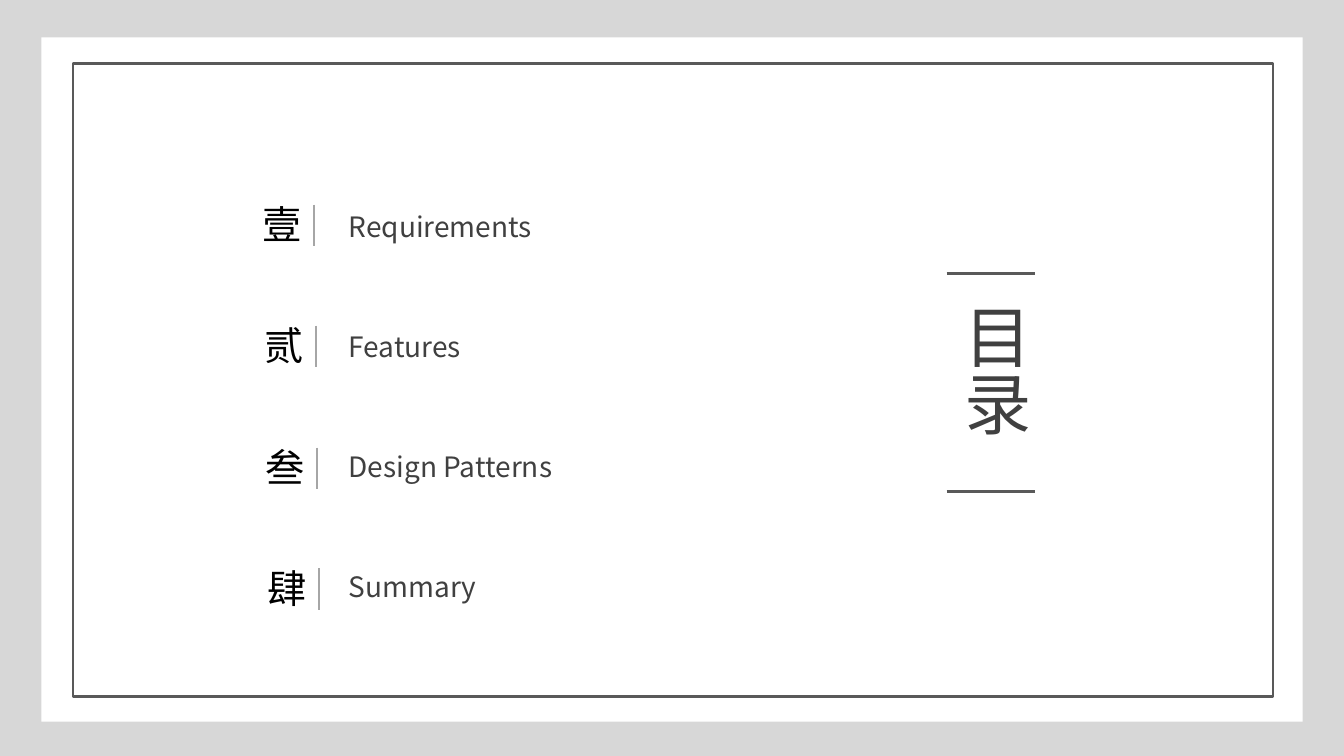
import pptx
import pptx.util
import pptx.dml.color
import pptx.enum.shapes
import pptx.enum.text
import pptx.oxml.ns
import pptx.oxml.xmlchemy
from pptx.dml.color import RGBColor
from pptx.util import Inches

FONT = "Noto Sans CJK SC"
GRAY = RGBColor(0xD7, 0xD7, 0xD7)
WHITE = RGBColor(0xFF, 0xFF, 0xFF)
BLACK = RGBColor(0x00, 0x00, 0x00)
FRAME = RGBColor(0x59, 0x59, 0x59)
DIVIDER = RGBColor(0xA6, 0xA6, 0xA6)
TEXT = RGBColor(0x40, 0x40, 0x40)

LABEL_TOP = 2.03
LABEL_STEP = 1.19
CHAPTERS = [
    ("壹", "Requirements", 2.51, 1.94),
    ("贰", "Features", 2.53, 3.14),
    ("叁", "Design Patterns", 2.54, 4.35),
    ("肆", "Summary", 2.56, 5.55),
]


def add_rectangle(slide, left, top, width, height, fill=None, line=None):
    shape = slide.shapes.add_shape(
        pptx.enum.shapes.MSO_SHAPE.RECTANGLE,
        Inches(left), Inches(top), Inches(width), Inches(height))
    shape.shadow.inherit = False
    if fill is None:
        shape.fill.background()
    else:
        shape.fill.solid()
        shape.fill.fore_color.rgb = fill
    if line is None:
        shape.line.fill.background()
    else:
        shape.line.color.rgb = line
        shape.line.width = pptx.util.Pt(1.5)


def add_line(slide, start, end, color, width):
    connector = slide.shapes.add_connector(
        pptx.enum.shapes.MSO_CONNECTOR.STRAIGHT,
        *[Inches(value) for value in (*start, *end)])
    connector.line.color.rgb = color
    connector.line.width = pptx.util.Pt(width)
    properties = connector._element.spPr
    properties.append(pptx.oxml.xmlchemy.OxmlElement("a:effectLst"))


def add_text(slide, text, left, top, width, height, size=20, color=TEXT,
             justified=True, vertical=False):
    box = slide.shapes.add_textbox(
        Inches(left), Inches(top), Inches(width), Inches(height))
    frame = box.text_frame
    frame.word_wrap = True
    frame.auto_size = pptx.enum.text.MSO_AUTO_SIZE.SHAPE_TO_FIT_TEXT
    if vertical:
        frame._txBody.bodyPr.set("vert", "eaVert")
    paragraph = frame.paragraphs[0]
    if justified:
        paragraph.alignment = pptx.enum.text.PP_ALIGN.JUSTIFY
    run = paragraph.add_run()
    run.text = text
    run.font.size = pptx.util.Pt(size)
    run.font.color.rgb = color
    run.font.name = FONT
    east_asian = pptx.oxml.xmlchemy.OxmlElement("a:ea")
    east_asian.set("typeface", FONT)
    run.font._element.find(pptx.oxml.ns.qn("a:latin")).addnext(east_asian)


def add_chapter(slide, index, numeral, label, left, top):
    add_text(slide, numeral, left, top, 0.53, 0.57,
             size=28, color=BLACK, justified=False)
    divider_left = left + 0.6
    divider_top = top + 0.09
    add_line(slide, (divider_left, divider_top),
             (divider_left, divider_top + 0.41), DIVIDER, 1.5)
    add_text(slide, label, 3.36, LABEL_TOP + index * LABEL_STEP, 3.1, 0.44)


def add_title(slide):
    add_text(slide, "目录", 9.31, 2.91, 1.01, 1.79, size=48, vertical=True)
    for top in (2.71, 4.88):
        add_line(slide, (9.39, top), (10.27, top), FRAME, 2.25)


def main():
    presentation = pptx.Presentation()
    presentation.slide_width = Inches(13.33)
    presentation.slide_height = Inches(7.5)
    slide = presentation.slides.add_slide(presentation.slide_layouts[6])
    add_rectangle(slide, 0, 0, 13.33, 7.5, fill=GRAY)
    add_rectangle(slide, 0.41, 0.37, 12.51, 6.79, fill=WHITE)
    add_rectangle(slide, 0.72, 0.63, 11.91, 6.28, line=FRAME)
    for index, chapter in enumerate(CHAPTERS):
        add_chapter(slide, index, *chapter)
    add_title(slide)
    presentation.save("out.pptx")


if __name__ == "__main__":
    main()
